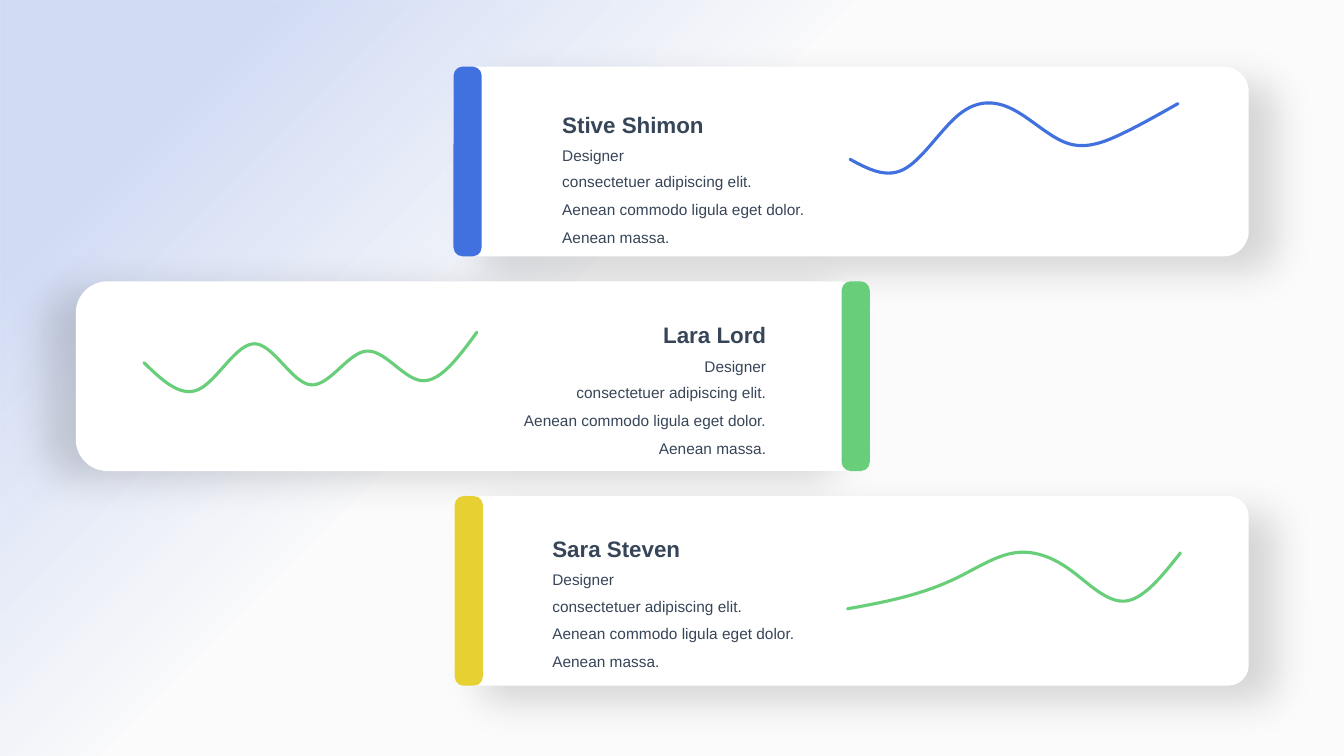
"""Builds a slide with three team member cards, each with a trend line."""
from dataclasses import dataclass

from lxml import etree
from pptx import Presentation
from pptx.chart.data import CategoryChartData
from pptx.dml.color import RGBColor
from pptx.enum.chart import XL_CHART_TYPE, XL_MARKER_STYLE
from pptx.enum.shapes import MSO_SHAPE
from pptx.enum.text import MSO_AUTO_SIZE, PP_ALIGN
from pptx.oxml import parse_xml
from pptx.oxml.ns import nsdecls, qn
from pptx.util import Cm, Pt

LINE = XL_CHART_TYPE.LINE
NO_MARKER = XL_MARKER_STYLE.NONE
RECTANGLE = MSO_SHAPE.RECTANGLE
ROUNDED = MSO_SHAPE.ROUNDED_RECTANGLE
GROW = MSO_AUTO_SIZE.SHAPE_TO_FIT_TEXT
LEFT, RIGHT = PP_ALIGN.LEFT, PP_ALIGN.RIGHT

SLIDE_WIDTH, SLIDE_HEIGHT = 33.87, 19.05
CARD_WIDTH, CARD_HEIGHT = 20.04, 4.78
CARD_TOP, CARD_PITCH = 1.68, 5.41
BAR_WIDTH = 0.71
CHART_HEIGHT = 3.66
TEXT_STEP = 0.66
ROLE = "Designer"
SUMMARY = "consectetuer adipiscing elit. Aenean commodo ligula eget dolor. Aenean massa."


@dataclass(frozen=True)
class Theme:
    """Colours, fonts and type sizes of the slide."""
    page: str = "FBFBFB"
    card: str = "FFFFFF"
    shadow: str = "000000"
    ink: str = "374558"
    blue: str = "4170DF"
    green: str = "68CE7A"
    yellow: str = "E7D031"
    font: str = "Arial"
    chart_font: str = "Calibri"
    name_size: int = 16
    body_size: int = 11
    chart_size: int = 10
    line_width: float = 2.25


@dataclass(frozen=True)
class Member:
    """One card: its text, its colours and where its parts stand."""
    name: str
    card_left: float
    corner: float
    shadow_angle: int
    bar_left: float
    bar_color: str
    text_left: float
    text_top: float
    text_widths: tuple
    align: int
    chart_left: float
    chart_top: float
    chart_width: float
    line_color: str
    axis_top: int
    values: tuple


class SlideBuilder:
    """Draws each kind of element on the current slide."""

    def __init__(self, page, theme):
        self.page = page
        self.theme = theme

    def set_alpha(self, color, percent):
        """Make a colour element partly transparent."""
        etree.SubElement(color, qn("a:alpha"), val=str(percent * 1000))

    def backdrop(self):
        """Fill the page and lay a fading diagonal tint over it."""
        background = self.page.background.fill
        background.solid()
        background.fore_color.rgb = RGBColor.from_string(self.theme.page)
        tint = self.panel(RECTANGLE, 0, 0, SLIDE_WIDTH, SLIDE_HEIGHT, self.theme.blue)
        tint.fill.gradient()
        tint.fill.gradient_angle = 315
        for stop, position in zip(tint.fill.gradient_stops, (0.13, 0.41)):
            stop.position = position
            stop.color.rgb = RGBColor.from_string(self.theme.blue)
        colors = list(tint._element.spPr.iter(qn("a:srgbClr")))
        for color, percent in zip(colors, (22, 0)):
            self.set_alpha(color, percent)

    def panel(self, kind, left, top, width, height, color, corner=None):
        """Add a plain filled shape without outline."""
        shape = self.page.shapes.add_shape(kind, Cm(left), Cm(top), Cm(width), Cm(height))
        shape.shadow.inherit = False
        shape.fill.solid()
        shape.fill.fore_color.rgb = RGBColor.from_string(color)
        shape.line.fill.background()
        if corner is not None:
            shape.adjustments[0] = corner
        return shape

    def card(self, member, top):
        """Add a white card with a soft shadow."""
        shape = self.panel(ROUNDED, member.card_left, top, CARD_WIDTH, CARD_HEIGHT,
                           self.theme.card, member.corner)
        effects = shape._element.spPr.find(qn("a:effectLst"))
        shadow = etree.SubElement(
            effects, qn("a:outerShdw"), blurRad=str(Pt(28)), dist=str(Pt(22)),
            dir=str(member.shadow_angle * 60000), algn="ctr", rotWithShape="0")
        color = etree.SubElement(shadow, qn("a:srgbClr"), val=self.theme.shadow)
        self.set_alpha(color, 14)

    def bar(self, member, top):
        """Add the coloured bar at the edge of a card."""
        self.panel(ROUNDED, member.bar_left, top, BAR_WIDTH, CARD_HEIGHT,
                   member.bar_color, 0.321)

    def text(self, words, left, top, width, height, size, align, bold=False, spacing=None):
        """Add a wrapped text box with one paragraph."""
        box = self.page.shapes.add_textbox(Cm(left), Cm(top), Cm(width), Cm(height))
        frame = box.text_frame
        frame.word_wrap = True
        frame.auto_size = GROW
        frame.text = words
        para = frame.paragraphs[0]
        para.alignment = align
        para.line_spacing = spacing
        span = para.runs[0]
        span.font.name = self.theme.font
        span.font.size = Pt(size)
        span.font.bold = bold
        span.font.color.rgb = RGBColor.from_string(self.theme.ink)

    def profile(self, member):
        """Add the name, role and summary of a member."""
        left, top, align = member.text_left, member.text_top, member.align
        narrow, wide = member.text_widths
        size = self.theme.body_size
        self.text(member.name, left, top, narrow, 0.94, self.theme.name_size, align, bold=True)
        self.text(ROLE, left, top + TEXT_STEP, narrow, 0.91, size, align, spacing=1.5)
        self.text(SUMMARY, left, top + 2 * TEXT_STEP, wide, 1.6, size, align, spacing=1.5)

    def trend(self, member):
        """Add a smooth line chart without axes."""
        data = CategoryChartData()
        data.categories = [str(number + 1) for number in range(len(member.values))]
        data.add_series("Series 1", member.values)
        chart = self.page.shapes.add_chart(
            LINE, Cm(member.chart_left), Cm(member.chart_top),
            Cm(member.chart_width), Cm(CHART_HEIGHT), data).chart
        chart.has_legend = False
        chart.has_title = False
        chart.font.name = self.theme.chart_font
        chart.font.size = Pt(self.theme.chart_size)
        chart.font.color.rgb = RGBColor.from_string(self.theme.ink)
        chart.value_axis.minimum_scale = 0
        chart.value_axis.maximum_scale = member.axis_top
        chart.value_axis.has_major_gridlines = False
        for axis in (chart.category_axis, chart.value_axis):
            axis.visible = False
        plot = chart.plots[0]
        plot.vary_by_categories = False
        series = plot.series[0]
        series.smooth = True
        series.marker.style = NO_MARKER
        series.format.line.color.rgb = RGBColor.from_string(member.line_color)
        series.format.line.width = Pt(self.theme.line_width)
        series._element.find(".//" + qn("a:ln")).set("cap", "rnd")
        self.place_plot(chart)

    def place_plot(self, chart):
        """Fix the inner plot area inside the chart."""
        area = chart._chartSpace.chart.plotArea
        for layout in area.findall(qn("c:layout")):
            area.remove(layout)
        places = {"x": 0.037, "y": 0.106, "w": 0.926, "h": 0.797}
        modes = '<c:layoutTarget val="inner"/><c:xMode val="edge"/><c:yMode val="edge"/>'
        sizes = "".join(f'<c:{key} val="{value}"/>' for key, value in places.items())
        area.insert(0, parse_xml(
            f'<c:layout {nsdecls("c")}><c:manualLayout>{modes}{sizes}</c:manualLayout></c:layout>'))


def main():
    """Build the deck and save it."""
    theme = Theme()
    members = (
        Member("Stive Shimon", 11.43, 0.132, 30, 11.43, theme.blue, 13.92, 2.67, (6.3, 6.68),
               LEFT, 20.35, 1.96, 10.41, theme.blue, 110, (47, 38, 90, 94, 62, 72, 100)),
        Member("Lara Lord", 1.91, 0.167, 166, 21.21, theme.green, 12.85, 7.98, (6.71, 6.71),
               RIGHT, 2.54, 7.72, 10.57, theme.green, 110, (71, 46, 89, 50, 82, 54, 100)),
        Member("Sara Steven", 11.43, 0.108, 30, 11.46, theme.yellow, 13.67, 13.36, (6.3, 6.68),
               LEFT, 20.27, 13.06, 10.57, theme.green, 120, (42, 54, 75, 100, 83, 50, 100)),
    )
    deck = Presentation()
    deck.slide_width, deck.slide_height = Cm(SLIDE_WIDTH), Cm(SLIDE_HEIGHT)
    builder = SlideBuilder(deck.slides.add_slide(deck.slide_layouts[6]), theme)
    builder.backdrop()
    tops = [CARD_TOP + index * CARD_PITCH for index in range(len(members))]
    for draw in (builder.card, builder.bar):
        for member, top in zip(members, tops):
            draw(member, top)
    for member in members:
        builder.profile(member)
        builder.trend(member)
    deck.save("out.pptx")


if __name__ == "__main__":
    main()
